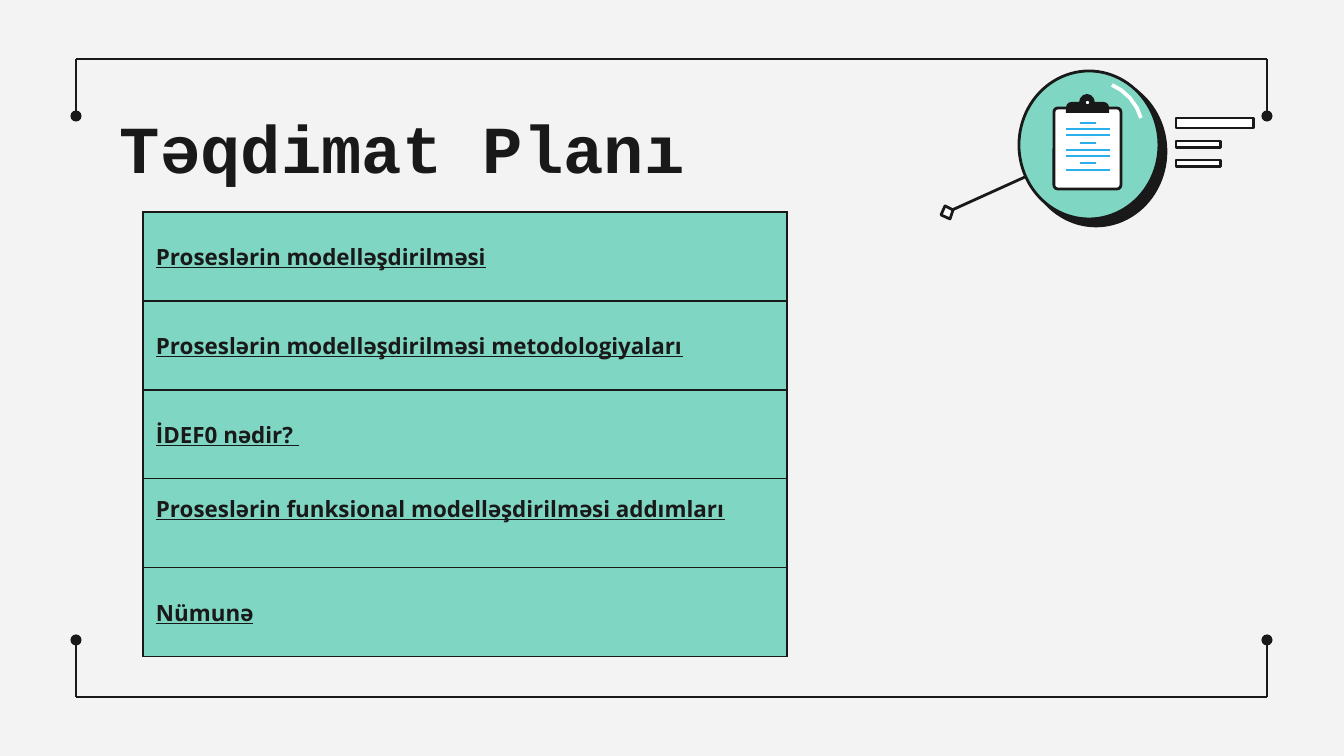
from lxml.etree import SubElement
from pptx import Presentation
from pptx.dml.color import RGBColor
from pptx.enum.shapes import MSO_CONNECTOR, MSO_SHAPE
from pptx.enum.text import MSO_ANCHOR
from pptx.oxml.ns import qn
from pptx.util import Pt

PX = 914400 / 134.4
INK = RGBColor(0x19, 0x19, 0x19)
MINT = RGBColor(0x7F, 0xD6, 0xC3)
BLUE = RGBColor(0x2A, 0xAF, 0xEB)
WHITE = RGBColor(0xFF, 0xFF, 0xFF)
PAPER = RGBColor(0xF3, 0xF3, 0xF3)


def px(*nums):
    return [round(n * PX) for n in nums]


def rule(ends, color, width):
    """Draw a straight line between two points, without a shadow."""
    line = slide.shapes.add_connector(MSO_CONNECTOR.STRAIGHT, *px(*ends))
    line.line.color.rgb = color
    line.line.width = Pt(width)
    SubElement(line._element.spPr, qn("a:effectLst"))
    return line


deck = Presentation()
deck.slide_width, deck.slide_height = px(1344, 756)
slide = deck.slides.add_slide(deck.slide_layouts[6])
slide.background.fill.solid()
slide.background.fill.fore_color.rgb = PAPER

# Frame: two open brackets with dots at the ends
left, right = 76, 1267
for edge, dot in ((59, 116), (697, 640)):
    rule((left, edge, right, edge), INK, 0.75)
    for x in (left, right):
        side = rule((x, edge, x, dot), INK, 0.75)
        SubElement(side.line._get_or_add_ln(), qn("a:tailEnd"), type="oval")

# Title
title = slide.shapes.add_textbox(*px(106, 79, 1133, 85)).text_frame
title.word_wrap = True
title.vertical_anchor = MSO_ANCHOR.TOP
title.margin_left, title.margin_right, title.margin_top = px(14, 14, 27)
title.margin_bottom = 0
run = title.paragraphs[0].add_run()
run.text = "Təqdimat Planı"
run.font.name = "Courier New"
run.font.size = Pt(36)
run.font.bold = True
run.font.color.rgb = INK

# Plan table: topic and the space kept below it
topics = [
    ("Proseslərin modelləşdirilməsi", 0),
    ("Proseslərin modelləşdirilməsi metodologiyaları", 0),
    ("İDEF0 nədir? ", 0),
    ("Proseslərin funksional modelləşdirilməsi addımları", 30),
    ("Nümunə", 0),
]
table = slide.shapes.add_table(len(topics), 1, *px(143, 212, 644, 445)).table
for row, (topic, gap) in zip(table.rows, topics):
    row.height = px(89)[0]
    cell = row.cells[0]
    props = cell._tc.get_or_add_tcPr()
    for tag in ("a:lnL", "a:lnR", "a:lnT", "a:lnB"):
        border = SubElement(props, qn(tag), w=str(Pt(0.75)))
        paint = SubElement(border, qn("a:solidFill"))
        SubElement(paint, qn("a:srgbClr"), val=str(INK))
    cell.fill.solid()
    cell.fill.fore_color.rgb = MINT
    cell.vertical_anchor = MSO_ANCHOR.MIDDLE
    cell.margin_left, cell.margin_right, cell.margin_bottom = px(13, 13, gap)
    cell.margin_top = 0
    run = cell.text_frame.paragraphs[0].add_run()
    run.text = topic
    run.font.name = "Open Sans"
    run.font.size = Pt(12)
    run.font.bold = True
    run.font.underline = True
    run.font.color.rgb = INK

# Magnifier handle and its grip
rule((1025, 177, 950, 211), INK, 1.5)
draw = slide.shapes.build_freeform(945, 206, scale=PX)
draw.add_line_segments([(941, 215), (950, 219), (953, 210)], close=True)
grip = draw.convert_to_shape()
grip.shadow.inherit = False
grip.fill.solid()
grip.fill.fore_color.rgb = WHITE
grip.line.color.rgb = INK
grip.line.width = Pt(1.5)

# Bars, lens, clipboard and clip, from back to front
parts = [
    (MSO_SHAPE.RECTANGLE, (1176, 118, 78, 10), WHITE, True),
    (MSO_SHAPE.RECTANGLE, (1176, 141, 45, 7), WHITE, True),
    (MSO_SHAPE.RECTANGLE, (1176, 160, 45, 7), WHITE, True),
    (MSO_SHAPE.OVAL, (1026, 77, 140, 149), INK, True),
    (MSO_SHAPE.OVAL, (1019, 71, 140, 148), MINT, True),
    (MSO_SHAPE.ROUNDED_RECTANGLE, (1054, 108, 67, 81), WHITE, True),
    (MSO_SHAPE.ROUND_2_SAME_RECTANGLE, (1066, 102, 43, 11), INK, False),
    (MSO_SHAPE.OVAL, (1079, 94, 16, 18), INK, False),
    (MSO_SHAPE.OVAL, (1086, 101, 3, 3), WHITE, False),
]
for kind, box, color, lined in parts:
    part = slide.shapes.add_shape(kind, *px(*box))
    part.shadow.inherit = False
    part.fill.solid()
    part.fill.fore_color.rgb = color
    if lined:
        part.line.color.rgb = INK
        part.line.width = Pt(1.5)
    else:
        part.line.fill.background()
    if kind == MSO_SHAPE.ROUNDED_RECTANGLE:
        part.adjustments[0] = 0.06
    elif kind == MSO_SHAPE.ROUND_2_SAME_RECTANGLE:
        part.adjustments[0] = 0.5

# Shine on the lens
draw = slide.shapes.build_freeform(1112, 85, scale=PX)
draw.add_line_segments([(1121, 90), (1130, 98), (1137, 108), (1141, 118)],
                       close=False)
shine = draw.convert_to_shape()
shine.shadow.inherit = False
shine.fill.background()
shine.line.color.rgb = WHITE
shine.line.width = Pt(2)

# Writing on the clipboard
for y in (123, 143, 163):
    rule((1080, y, 1096, y), BLUE, 1.5)
for y in (129, 135, 150, 156, 170):
    rule((1066, y, 1110, y), BLUE, 1.5)

deck.save("out.pptx")
